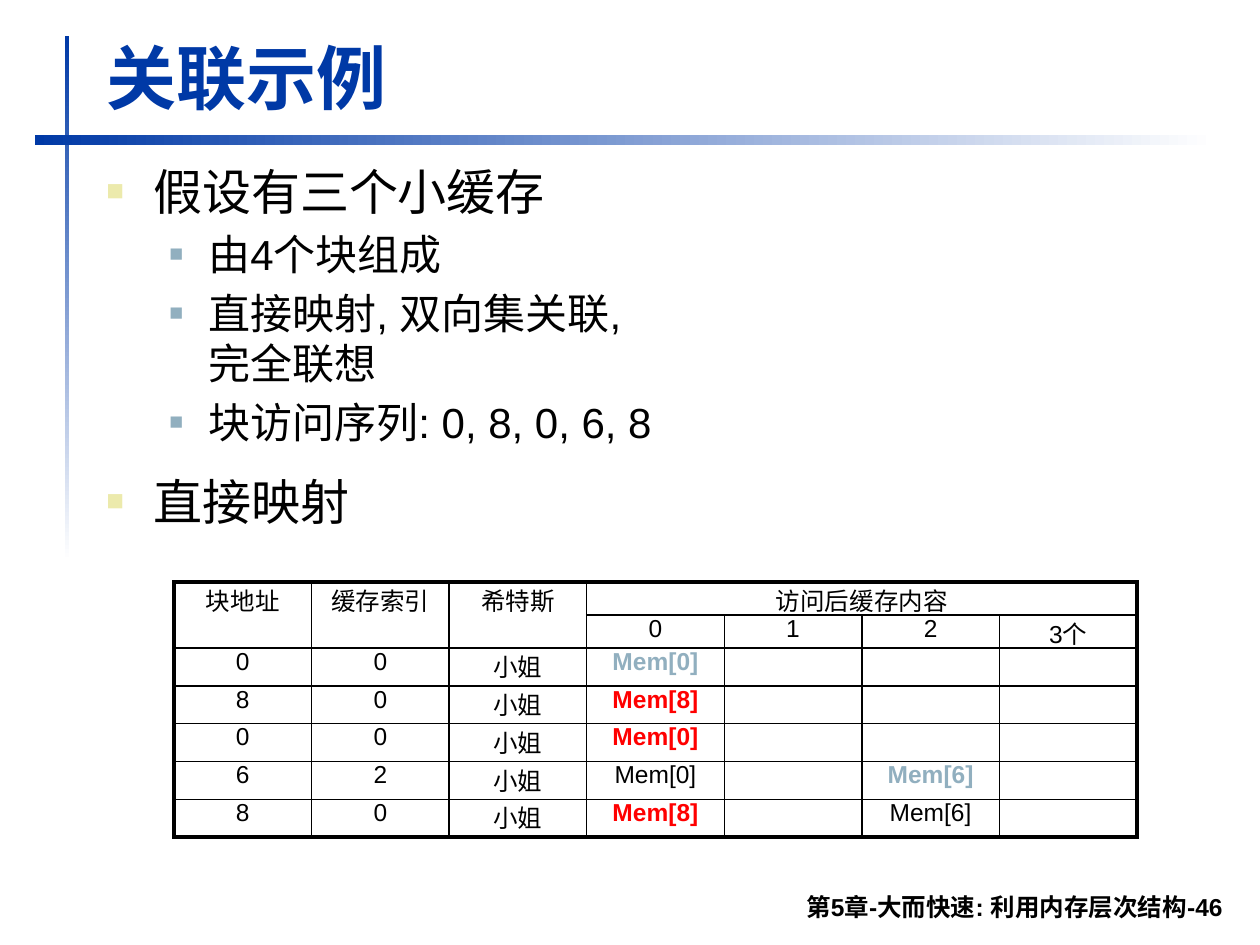
from lxml.etree import SubElement
from pptx import Presentation
from pptx.dml.color import RGBColor as Rgb
from pptx.enum.shapes import MSO_SHAPE as Shape
from pptx.enum.text import MSO_ANCHOR as Anchor, PP_ALIGN as Align
from pptx.oxml import parse_xml
from pptx.oxml.ns import nsdecls, qn
from pptx.util import Pt

BLUE = Rgb(0x00, 0x39, 0xA6)
WHITE = Rgb(0xFF, 0xFF, 0xFF)
BLACK = Rgb(0x00, 0x00, 0x00)
RED = Rgb(0xFF, 0x00, 0x00)
STEEL = Rgb(0x91, 0xAF, 0xBF)
CREAM = Rgb(0xEC, 0xEA, 0xAC)

POINTS = [
    (0, 20, ["假设有三个小缓存"]),
    (1, 20, ["由4个块组成"]),
    (1, 20, ["直接映射, 双向集关联,", "完全联想"]),
    (1, 20, ["块访问序列: 0, 8, 0, 6, 8"]),
    (0, 50, ["直接映射"]),
]
LEVELS = [(28, 47, 47, CREAM, 60), (24, 102, 39, STEEL, 55)]
ROWS = [
    ["块地址", "缓存索引", "希特斯", "访问后缓存内容", "", "", ""],
    ["", "", "", "0", "1", "2", "3个"],
    ["0", "0", "小姐", ("Mem[0]", STEEL), "", "", ""],
    ["8", "0", "小姐", ("Mem[8]", RED), "", "", ""],
    ["0", "0", "小姐", ("Mem[0]", RED), "", "", ""],
    ["6", "2", "小姐", "Mem[0]", "", ("Mem[6]", STEEL), ""],
    ["8", "0", "小姐", ("Mem[8]", RED), "", "Mem[6]", ""],
]
SPANS = [(0, 0, 1, 0), (0, 1, 1, 1), (0, 2, 1, 2), (0, 3, 0, 6)]


class Deck:
    """Holds the style and the current slide, and draws each kind of element."""

    font = "Arial"
    scale = 914400 / 126

    def __init__(self, wide, high):
        self.prs = Presentation()
        self.prs.slide_width, self.prs.slide_height = self.emu(wide, high)
        self.slide = self.prs.slides.add_slide(self.prs.slide_layouts[6])

    def emu(self, *sizes):
        return [round(size * self.scale) for size in sizes]

    def bar(self, box, angle):
        bar = self.slide.shapes.add_shape(Shape.RECTANGLE, *self.emu(*box))
        bar.shadow.inherit = False
        bar.line.fill.background()
        bar.fill.gradient()
        bar.fill.gradient_angle = angle
        for stop, color, place in zip(bar.fill.gradient_stops, (BLUE, WHITE), (0, 1)):
            stop.color.rgb = color
            stop.position = place

    def run(self, para, text, size, color=BLACK, bold=False):
        run = para.add_run()
        run.text = text
        font = run.font
        font.name, font.size, font.bold = self.font, Pt(size), bold
        font.color.rgb = color

    def space(self, para, percent):
        before = SubElement(para._p.get_or_add_pPr(), qn("a:spcBef"))
        SubElement(before, qn("a:spcPct"), val=str(percent * 1000))

    def bullet(self, para, left, hang, color, percent):
        props = para._p.get_or_add_pPr()
        left, hang = self.emu(left, hang)
        props.set("marL", str(left))
        props.set("indent", str(-hang))
        tint = SubElement(props, qn("a:buClr"))
        SubElement(tint, qn("a:srgbClr"), val=str(color))
        SubElement(props, qn("a:buSzPct"), val=str(percent * 1000))
        SubElement(props, qn("a:buFont"), typeface=self.font)
        SubElement(props, qn("a:buChar"), char="■")

    def frame(self, box, anchor):
        frame = self.slide.shapes.add_textbox(*self.emu(*box)).text_frame
        frame.word_wrap = True
        frame.vertical_anchor = anchor
        return frame

    def label(self, box, text, size, color, align):
        para = self.frame(box, Anchor.BOTTOM).paragraphs[0]
        para.alignment = align
        self.run(para, text, size, color, True)

    def outline(self, box, points):
        frame = self.frame(box, Anchor.TOP)
        for i, (level, gap, lines) in enumerate(points):
            para = frame.add_paragraph() if i else frame.paragraphs[0]
            size, left, hang, color, percent = LEVELS[level]
            para.level = level
            self.space(para, gap)
            self.bullet(para, left, hang, color, percent)
            for j, line in enumerate(lines):
                if j:
                    para.add_line_break()
                self.run(para, line, size)

    def border(self, cell, thick):
        props = cell._tc.get_or_add_tcPr()
        for i, (side, bold) in enumerate(zip("LRTB", thick)):
            props.insert(i, parse_xml(
                f'<a:ln{side} {nsdecls("a")} w="{Pt(2.25 if bold else 1)}">'
                f'<a:solidFill><a:srgbClr val="{BLACK}"/></a:solidFill></a:ln{side}>'))

    def table(self, box, rows, spans):
        high, wide = len(rows), len(rows[0])
        grid = self.slide.shapes.add_table(high, wide, *self.emu(*box)).table
        grid.first_row = grid.horz_banding = False
        for top, left, low, right in spans:
            grid.cell(top, left).merge(grid.cell(low, right))
        for r, row in enumerate(rows):
            for c, item in enumerate(row):
                cell = grid.cell(r, c)
                cell.margin_top = cell.margin_bottom = 0
                cell.fill.background()
                self.border(cell, (c == 0, c + cell.span_width == wide,
                                   r == 0, r + cell.span_height == high))
                if item:
                    text, color = (item, BLACK) if isinstance(item, str) else item
                    para = cell.text_frame.paragraphs[0]
                    para.alignment = Align.CENTER
                    self.space(para, 20)
                    self.run(para, text, 14, color, color != BLACK)


def main():
    deck = Deck(1260, 945)
    deck.bar((65, 36, 4, 525), 270)
    deck.bar((35, 135, 1180, 10), 0)
    deck.label((94, 28, 1138, 97), "关联示例", 40, BLUE, Align.LEFT)
    deck.outline((94, 155, 1140, 387), POINTS)
    deck.label((233, 879, 1002, 49), "第5章-大而快速: 利用内存层次结构-46",
               14, BLACK, Align.RIGHT)
    deck.table((174, 582, 963, 231), ROWS, SPANS)
    deck.prs.save("out.pptx")


if __name__ == "__main__":
    main()
